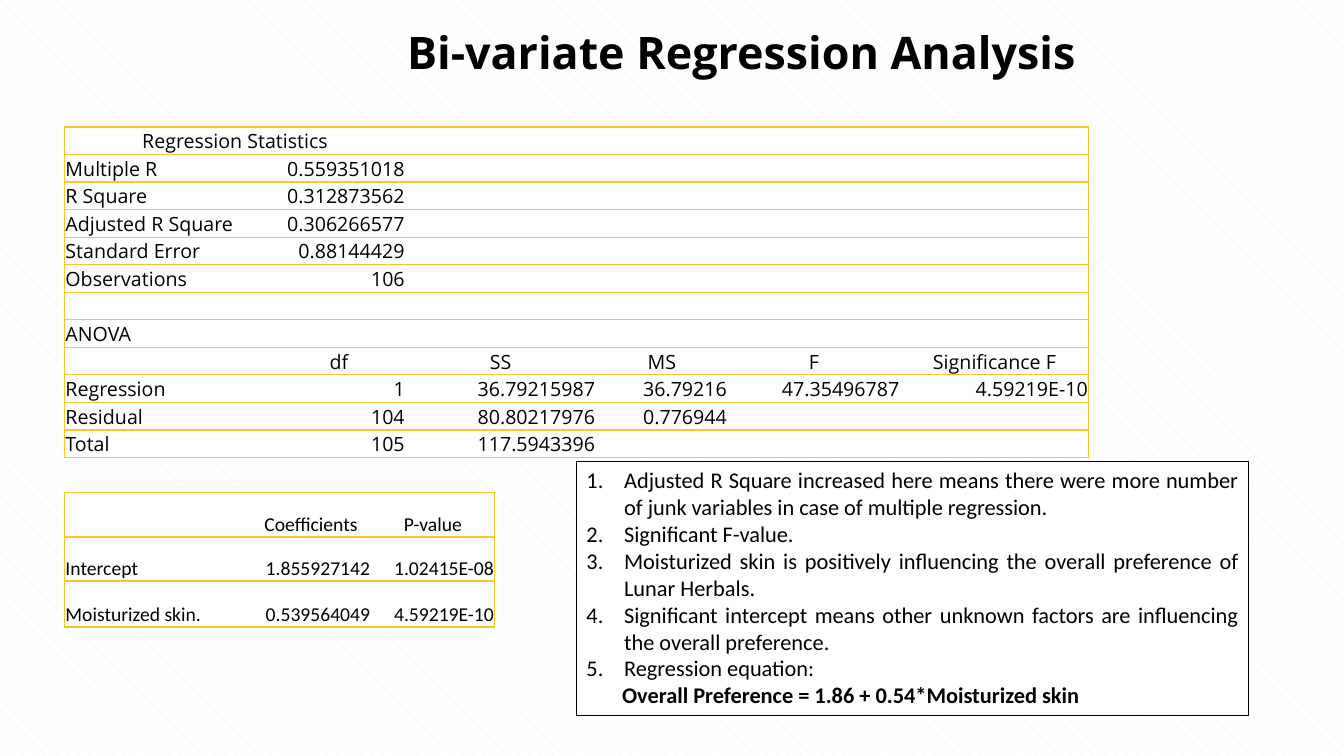
from dataclasses import dataclass

from lxml import etree
from pptx import Presentation
from pptx.dml.color import RGBColor
from pptx.enum.dml import MSO_PATTERN
from pptx.enum.shapes import MSO_SHAPE
from pptx.enum.text import MSO_ANCHOR, PP_ALIGN
from pptx.oxml.ns import qn
from pptx.util import Cm, Pt

LEFT, CENTER, RIGHT, JUSTIFY = PP_ALIGN.LEFT, PP_ALIGN.CENTER, PP_ALIGN.RIGHT, PP_ALIGN.JUSTIFY
BOTTOM, TOP = MSO_ANCHOR.BOTTOM, MSO_ANCHOR.TOP
RECT = MSO_SHAPE.RECTANGLE
SHINGLE = MSO_PATTERN.SHINGLE
PLAIN_TABLE = "{2D5ABB26-0587-4C30-8999-92F81FD0307C}"


@dataclass(frozen=True)
class Theme:
    black: RGBColor = RGBColor(0x00, 0x00, 0x00)
    white: RGBColor = RGBColor(0xFF, 0xFF, 0xFF)
    stripe: RGBColor = RGBColor(0xF2, 0xF2, 0xF2)
    gold: RGBColor = RGBColor(0xFF, 0xC4, 0x27)
    heading: str = "Open Sans"
    body: str = "Calibri"
    title_size: int = 32
    note_size: int = 16
    table_size: int = 14


REGRESSION = [
    ["Regression Statistics"],
    ["Multiple R", "0.559351018"],
    ["R Square", "0.312873562"],
    ["Adjusted R Square", "0.306266577"],
    ["Standard Error", "0.88144429"],
    ["Observations", "106"],
    [],
    ["ANOVA"],
    ["", "df", "SS", "MS", "F", "Significance F"],
    ["Regression", "1", "36.79215987", "36.79216", "47.35496787", "4.59219E-10"],
    ["Residual", "104", "80.80217976", "0.776944"],
    ["Total", "105", "117.5943396"],
]
COEFFICIENTS = [
    ["", "Coefficients", "P-value"],
    ["Intercept", "1.855927142", "1.02415E-08"],
    ["Moisturized skin.", "0.539564049", "4.59219E-10"],
]
FINDINGS = [
    "Adjusted R Square increased here means there were more number of junk variables "
    "in case of multiple regression.",
    "Significant F-value.",
    "Moisturized skin is positively influencing the overall preference of Lunar Herbals.",
    "Significant intercept means other unknown factors are influencing the overall preference.",
    "Regression equation:",
]
EQUATION = "Overall Preference = 1.86 + 0.54*Moisturized skin"


class SlideBuilder:
    def __init__(self, slide, theme):
        self.s = slide
        self.theme = theme

    def background(self):
        fill = self.s.background.fill
        fill.patterned()
        fill.pattern = SHINGLE
        fill.fore_color.rgb = self.theme.stripe
        fill.back_color.rgb = self.theme.white

    def style(self, p, font, size, align=LEFT, bold=False):
        p.alignment = align
        p.font.name = font
        p.font.size = Pt(size)
        p.font.bold = bold
        p.font.color.rgb = self.theme.black

    def title(self, text, x, y, w, h):
        tf = self.s.shapes.add_textbox(Cm(x), Cm(y), Cm(w), Cm(h)).text_frame
        tf.word_wrap = True
        p = tf.paragraphs[0]
        p.text = text
        self.style(p, self.theme.heading, self.theme.title_size, bold=True)

    def borders(self, cell, sides):
        """Draw gold lines on the given sides, which must follow the order L, R, T, B."""
        tc_pr = cell._tc.get_or_add_tcPr()
        for i, side in enumerate(sides):
            ln = etree.Element(qn(f"a:ln{side}"), w=str(Pt(1)))
            fill = etree.SubElement(ln, qn("a:solidFill"))
            etree.SubElement(fill, qn("a:srgbClr"), val=str(self.theme.gold))
            tc_pr.insert(i, ln)

    def table(self, rows, x, y, widths, heights, font, header_row):
        """Labels go left, values right, and the cells of header_row are centred."""
        frame = self.s.shapes.add_table(len(rows), len(widths), Cm(x), Cm(y),
                                        Cm(sum(widths)), Cm(sum(heights)))
        tbl = frame.table
        tbl.first_row = tbl.horz_banding = False
        tbl._tbl.tblPr.find(qn("a:tableStyleId")).text = PLAIN_TABLE
        for col, width in zip(tbl.columns, widths):
            col.width = Cm(width)
        for i, (row, height) in enumerate(zip(rows, heights)):
            tbl.rows[i].height = Cm(height)
            for j in range(len(widths)):
                cell = tbl.cell(i, j)
                cell.fill.solid()
                cell.fill.fore_color.rgb = self.theme.white
                cell.vertical_anchor = BOTTOM
                cell.margin_left = cell.margin_right = cell.margin_top = Cm(0.02)
                cell.margin_bottom = 0
                p = cell.text_frame.paragraphs[0]
                p.text = row[j] if j < len(row) else ""
                align = CENTER if i == header_row else RIGHT if j else LEFT
                self.style(p, font, self.theme.table_size, align)
                ends = ["L"] * (j == 0) + ["R"] * (j == len(widths) - 1)
                self.borders(cell, ends + ["T", "B"])
        return tbl

    def findings(self, items, equation, x, y, w, h):
        sp = self.s.shapes.add_shape(RECT, Cm(x), Cm(y), Cm(w), Cm(h))
        sp.shadow.inherit = False
        sp.fill.solid()
        sp.fill.fore_color.rgb = self.theme.white
        sp.line.color.rgb = self.theme.black
        sp.line.width = Pt(1)
        tf = sp.text_frame
        tf.word_wrap = True
        tf.vertical_anchor = TOP
        for i, text in enumerate([*items, equation]):
            p = tf.add_paragraph() if i else tf.paragraphs[0]
            p.text = text
            numbered = i < len(items)
            self.style(p, self.theme.body, self.theme.note_size, JUSTIFY, not numbered)
            p_pr = p._p.get_or_add_pPr()
            p_pr.set("marL", str(Cm(0.95 if numbered else 0.9)))
            p_pr.set("indent", str(Cm(-0.95 if numbered else 0)))
            if numbered:
                p_pr.insert(0, etree.Element(qn("a:buAutoNum"), type="arabicPeriod"))


def main():
    prs = Presentation()
    prs.slide_width, prs.slide_height = Cm(33.87), Cm(19.05)
    theme = Theme()
    b = SlideBuilder(prs.slides.add_slide(prs.slide_layouts[6]), theme)
    b.background()
    regression = b.table(REGRESSION, 1.63, 3.2, [5.23, 3.36, 4.8, 3.32, 4.35, 4.75],
                         [7.96 / 12] * 12, theme.heading, 8)
    regression.cell(0, 0).merge(regression.cell(0, 1))
    regression.cell(0, 0).text_frame.paragraphs[0].alignment = CENTER
    b.table(COEFFICIENTS, 1.63, 12.42, [4.7, 3.02, 3.12], [1.11, 1.11, 1.16], theme.body, 0)
    b.findings(FINDINGS, EQUATION, 14.53, 11.63, 16.94, 6.4)
    b.title("Bi-variate Regression Analysis", 10.01, 0.5, 19.05, 1.62)
    prs.save("out.pptx")


if __name__ == "__main__":
    main()
